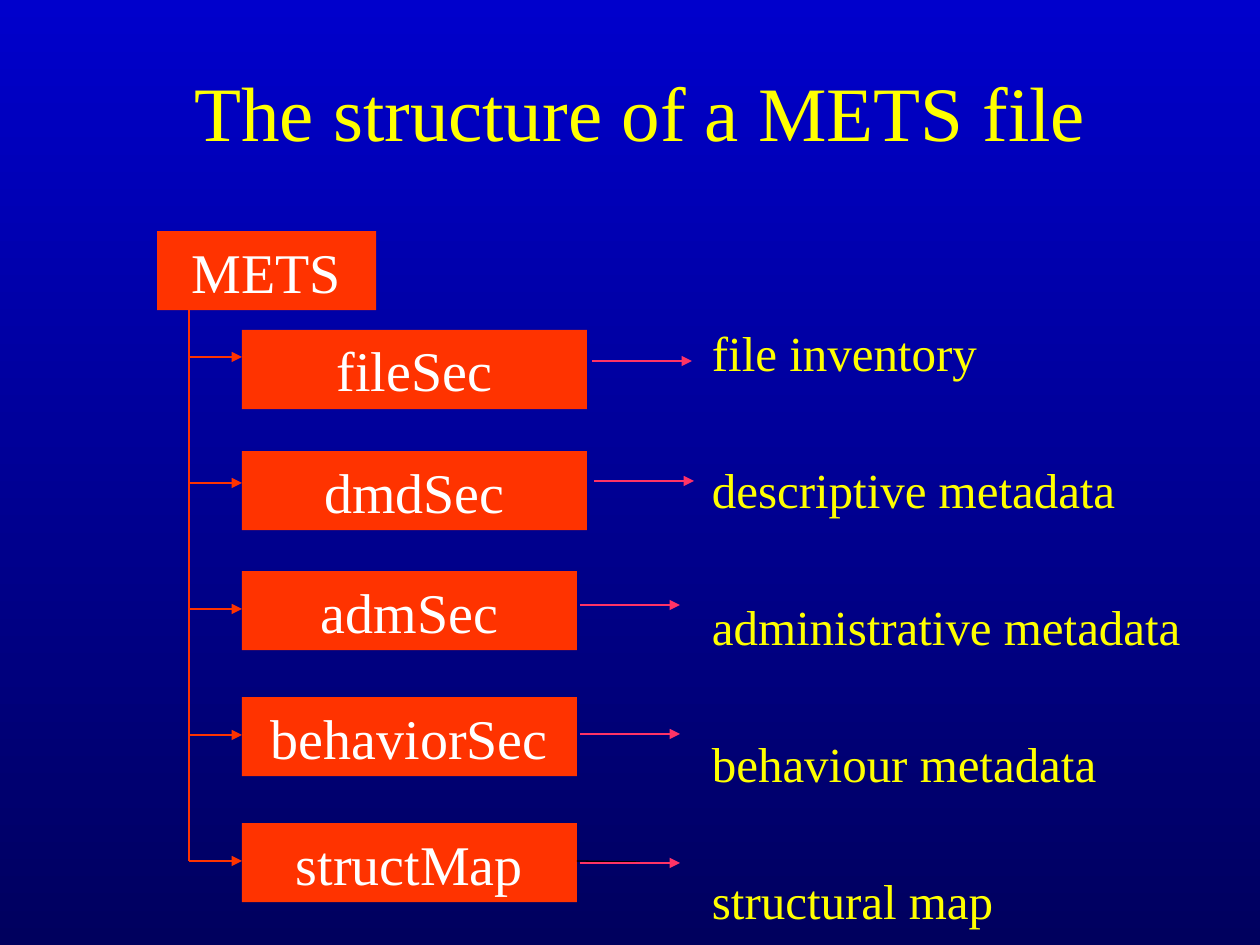
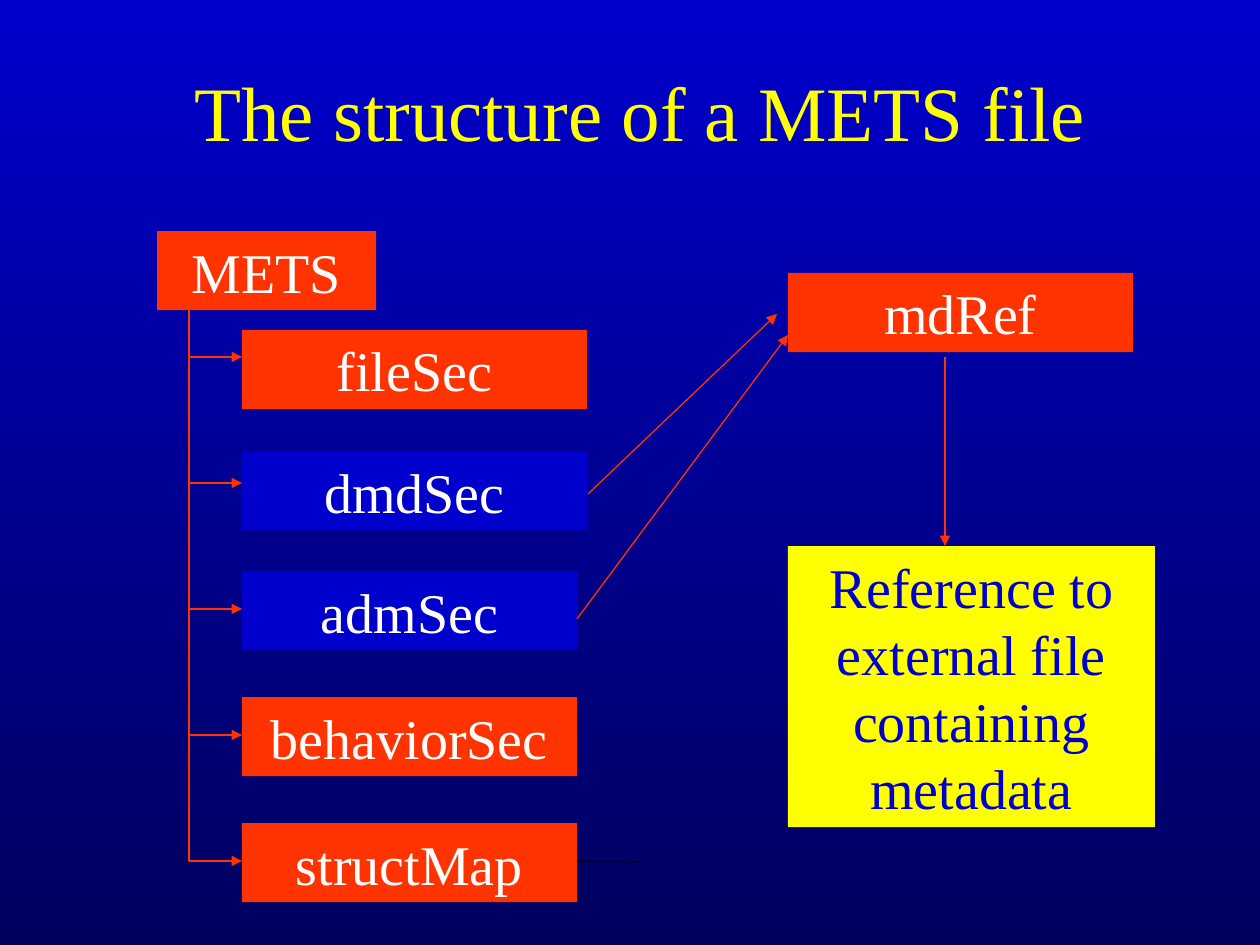
from dataclasses import dataclass

from lxml import etree
from pptx import Presentation
from pptx.dml.color import RGBColor
from pptx.enum.shapes import MSO_CONNECTOR, MSO_SHAPE
from pptx.enum.text import MSO_ANCHOR, PP_ALIGN
from pptx.oxml.ns import qn
from pptx.util import Emu, Pt

# Content, lengths in px
SLIDE_SIZE = (1260, 945)
TITLE = "The structure of a METS file"
TITLE_AREA = (105, 32, 1071, 157)
ROOT = ("METS", (157, 231, 219, 79))
SECTION_LEFT, SECTION_HEIGHT = 242, 79
# name, top, width, meaning, start and height of the arrow to the meaning
SECTIONS = [
    ("fileSec", 330, 345, "file inventory", (592, 361)),
    ("dmdSec", 451, 345, "descriptive metadata", (594, 481)),
    ("admSec", 571, 335, "administrative metadata", (580, 605)),
    ("behaviorSec", 697, 335, "behaviour metadata", (580, 734)),
    ("structMap", 823, 335, "structural map", (580, 863)),
]
MEANING_AREA = (712, 323, 494, 606)
MEANING_ARROW = 100
TRUNK_X, TRUNK_TOP = 189, 305
BRANCH_TOP, BRANCH_STEP = 357, 126
STUB_LENGTH = 63

REFERRING = {"dmdSec", "admSec"}
MD_REF = ("mdRef", (788, 273, 345, 79))
EXTERNAL = ("Reference to external file containing metadata",
            (788, 546, 367, 281))
REFERENCE_ARROWS = [
    ((588, 494), (777, 314)),
    ((577, 619), (788, 335)),
    ((945, 357), (945, 546)),
]


@dataclass(frozen=True)
class Theme:
    font: str = "Times New Roman"
    sky: str = "0000CC"
    depth: str = "00005E"
    yellow: str = "FFFF00"
    red: str = "FF3300"
    pink: str = "FF3366"
    white: str = "FFFFFF"
    black: str = "000000"
    title_size: int = 44
    box_size: int = 32
    meaning_size: int = 28
    meaning_gap: float = 44.6
    leading: float = 1.2
    line_width: float = 0.75


THEME = Theme()


def px(length):
    return Emu(round(length * 914400 / 126))


def rgb(color):
    return RGBColor.from_string(color)


def write(shape, lines, size, color, align, margins=(13, 6), gap=0,
          anchor=MSO_ANCHOR.TOP):
    frame = shape.text_frame
    frame.word_wrap = True
    frame.vertical_anchor = anchor
    frame.margin_left = frame.margin_right = px(margins[0])
    frame.margin_top = frame.margin_bottom = px(margins[1])
    frame.text = "\n".join(lines)
    for index, paragraph in enumerate(frame.paragraphs):
        paragraph.alignment = align
        paragraph.line_spacing = Pt(size * THEME.leading)
        if index:
            paragraph.space_before = Pt(gap)
        for run in paragraph.runs:
            run.font.name = THEME.font
            run.font.size = Pt(size)
            run.font.color.rgb = rgb(color)


def add_box(slide, text, area, fill=THEME.red, color=THEME.white):
    box = slide.shapes.add_shape(MSO_SHAPE.ROUNDED_RECTANGLE, *map(px, area))
    box.adjustments[0] = 0
    box.shadow.inherit = False
    box.fill.solid()
    box.fill.fore_color.rgb = rgb(fill)
    box.line.fill.background()
    write(box, [text], THEME.box_size, color, PP_ALIGN.CENTER)


def add_line(slide, start, end, color=THEME.red, arrow=True):
    line = slide.shapes.add_connector(MSO_CONNECTOR.STRAIGHT,
                                      *map(px, start + end))
    line.line.color.rgb = rgb(color)
    line.line.width = Pt(THEME.line_width)
    if arrow:
        etree.SubElement(line.line._get_or_add_ln(), qn("a:tailEnd"),
                         type="triangle")
    etree.SubElement(line._element.spPr, qn("a:effectLst"))


def add_base(deck, highlighted=()):
    """Background, title and the tree of METS sections."""
    slide = deck.slides.add_slide(deck.slide_layouts[6])
    background = slide.background.fill
    background.gradient()
    background.gradient_angle = 270
    for stop, color, position in zip(background.gradient_stops,
                                     (THEME.sky, THEME.depth), (0, 1)):
        stop.color.rgb = rgb(color)
        stop.position = position

    title = slide.shapes.add_textbox(*map(px, TITLE_AREA))
    write(title, [TITLE], THEME.title_size, THEME.yellow, PP_ALIGN.CENTER,
          anchor=MSO_ANCHOR.MIDDLE)

    # Tree: root, trunk, then one branch per section
    add_box(slide, *ROOT)
    branch_ys = [BRANCH_TOP + i * BRANCH_STEP for i in range(len(SECTIONS))]
    add_line(slide, (TRUNK_X, TRUNK_TOP), (TRUNK_X, branch_ys[-1]),
             arrow=False)
    for (name, top, width, *_), y in zip(SECTIONS, branch_ys):
        add_box(slide, name, (SECTION_LEFT, top, width, SECTION_HEIGHT),
                THEME.sky if name in highlighted else THEME.red)
        add_line(slide, (TRUNK_X, y), (SECTION_LEFT, y))
    stub_x = SECTION_LEFT + SECTIONS[-1][2]
    add_line(slide, (stub_x, branch_ys[-1]),
             (stub_x + STUB_LENGTH, branch_ys[-1] + 1), THEME.black, False)
    return slide


def add_meanings_slide(deck):
    slide = add_base(deck)
    meanings = slide.shapes.add_textbox(*map(px, MEANING_AREA))
    write(meanings, [section[3] for section in SECTIONS], THEME.meaning_size,
          THEME.yellow, PP_ALIGN.LEFT, (0, 0), THEME.meaning_gap)
    for *_, (x, y) in SECTIONS:
        add_line(slide, (x, y), (x + MEANING_ARROW, y), THEME.pink)


def add_reference_slide(deck):
    slide = add_base(deck, REFERRING)
    add_box(slide, *MD_REF)
    add_box(slide, *EXTERNAL, fill=THEME.yellow, color=THEME.sky)
    for start, end in REFERENCE_ARROWS:
        add_line(slide, start, end)


def main():
    deck = Presentation()
    deck.slide_width, deck.slide_height = map(px, SLIDE_SIZE)
    add_meanings_slide(deck)
    add_reference_slide(deck)
    deck.save("out.pptx")


if __name__ == "__main__":
    main()
